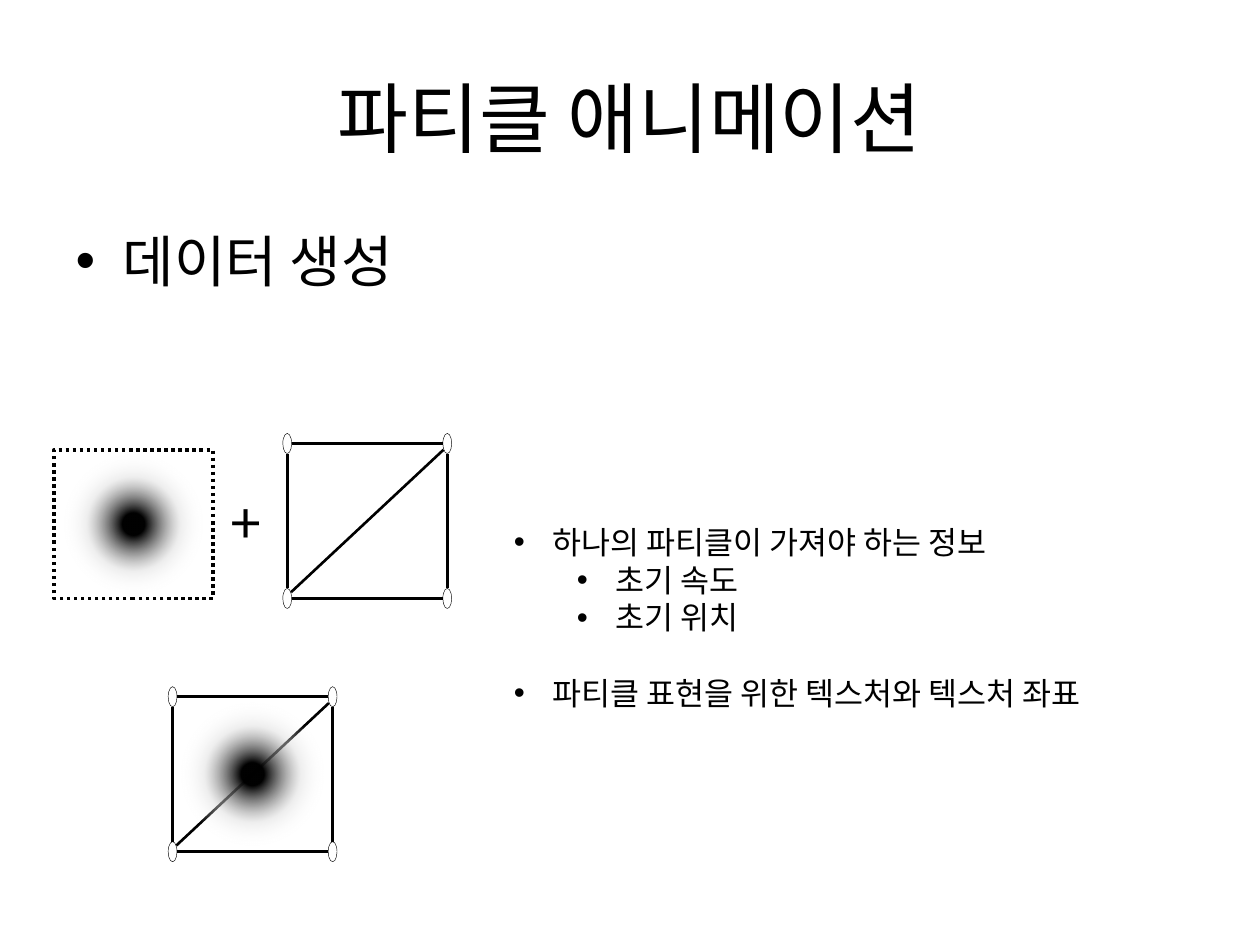
from lxml import etree
from pptx import Presentation
from pptx import util as u
from pptx.dml.color import RGBColor
from pptx.enum import dml, shapes, text
from pptx.oxml import parse_xml
from pptx.oxml.ns import nsdecls, qn

COLORS = {"ink": "000000", "paper": "FFFFFF", "haze": "D9D9D9"}
FONT = "Noto Sans CJK KR"
LINE_PITCH = 1.2  # line height as a share of the text size

prs = Presentation()
prs.slide_width, prs.slide_height = u.Inches(10), u.Inches(7.5)
slide = prs.slides.add_slide(prs.slide_layouts[1])


def write(paragraph, words, size, **formats):
    """Fill a paragraph with one run and set its paragraph formats."""
    run = paragraph.add_run()
    run.text = words
    run.font.size, run.font.name = u.Pt(size), FONT
    run.font.color.rgb = RGBColor.from_string(COLORS["ink"])
    etree.SubElement(run.font._element, qn("a:ea"), typeface=FONT)
    for name, value in formats.items():
        setattr(paragraph, name, value)


def add_particle(parent, left, top, width, height):
    """Add an ellipse that fades from black at its centre to nothing."""
    particle = parent.add_shape(shapes.MSO_SHAPE.OVAL, *map(u.Inches, (left, top, width, height)))
    particle.shadow.inherit = False
    particle.line.fill.background()
    stops = "".join(
        f'<a:gs pos="{share * 1000}"><a:srgbClr val="{COLORS[color]}">'
        f'<a:alpha val="{alpha * 1000}"/></a:srgbClr></a:gs>'
        for share, color, alpha in [(10, "ink", 100), (43, "haze", 44), (64, "paper", 0)])
    gradient = parse_xml(
        f'<a:gradFill {nsdecls("a")} rotWithShape="1"><a:gsLst>{stops}</a:gsLst>'
        '<a:path path="circle"><a:fillToRect l="50000" t="50000" r="50000" b="50000"/>'
        '</a:path></a:gradFill>')
    particle._element.spPr.find(qn("a:prstGeom")).addnext(gradient)


# Title and main point
title, body = slide.placeholders
for holder, top, height in [(title, 0.3, 1.25), (body, 1.75, 4.95)]:
    holder.left, holder.top, holder.width, holder.height = map(u.Inches, (0.5, top, 9, height))
title.text_frame.vertical_anchor = text.MSO_ANCHOR.MIDDLE
write(title.text_frame.paragraphs[0], "파티클 애니메이션", 44, alignment=text.PP_ALIGN.CENTER)
write(body.text_frame.paragraphs[0], "데이터 생성", 32, line_spacing=u.Pt(32 * LINE_PITCH))

# Two-triangle meshes, alone and under a particle
MESH_W, MESH_H = 1.27, 1.23
HANDLE_W, HANDLE_H = 0.07, 0.16
for left, top in [(2.28, 3.52), (1.37, 5.53)]:
    right, bottom = left + MESH_W, top + MESH_H
    dx, dy = HANDLE_W / 2, HANDLE_H / 2
    mesh = slide.shapes.add_group_shape().shapes
    for x in (left, right):
        for y in (top, bottom):
            handle = mesh.add_shape(
                shapes.MSO_SHAPE.OVAL, *map(u.Inches, (x - dx, y - dy, HANDLE_W, HANDLE_H)))
            handle.shadow.inherit = False
            handle.fill.solid()
            handle.fill.fore_color.rgb = RGBColor.from_string(COLORS["paper"])
            handle.line.color.rgb = RGBColor.from_string(COLORS["ink"])
            handle.line.width = u.Pt(0.25)
    edges = [(left + dx, y, right - dx, y) for y in (top, bottom)]
    edges += [(x, top + dy, x, bottom - dy) for x in (left, right)]
    edges.append((right - 0.03, top + 0.05, left + 0.03, bottom - 0.05))
    for ends in edges:
        edge = mesh.add_connector(shapes.MSO_CONNECTOR.STRAIGHT, *map(u.Inches, ends))
        edge.line.color.rgb = RGBColor.from_string(COLORS["ink"])
        edge.line.width = u.Pt(1.5)
        etree.SubElement(edge._element.spPr, qn("a:effectLst"))
add_particle(slide.shapes, left, top, MESH_W, MESH_H)

# Particle texture in its dotted frame
texture_box = (0.43, 3.57, 1.26, 1.18)
texture = slide.shapes.add_group_shape().shapes
add_particle(texture, *texture_box)
frame = texture.add_shape(shapes.MSO_SHAPE.RECTANGLE, *map(u.Inches, texture_box))
frame.shadow.inherit = False
frame.fill.background()
frame.line.color.rgb = RGBColor.from_string(COLORS["ink"])
frame.line.width = u.Pt(2)
frame.line.dash_style = dml.MSO_LINE.ROUND_DOT

plus = slide.shapes.add_textbox(*map(u.Inches, (1.73, 3.83, 0.28, 0.64))).text_frame
plus.word_wrap = False
write(plus.paragraphs[0], "+", 32, line_spacing=u.Pt(32 * LINE_PITCH))

# What each particle needs
needs = slide.shapes.add_textbox(*map(u.Inches, (3.98, 4.1, 5.83, 1.62))).text_frame
needs.word_wrap = True
pitch = u.Pt(18 * LINE_PITCH)
items = [("하나의 파티클이 가져야 하는 정보", 0, 0), ("초기 속도", 1, 0), ("초기 위치", 1, 0),
         ("파티클 표현을 위한 텍스처와 텍스처 좌표", 0, pitch)]
for number, (words, level, gap) in enumerate(items):
    item = needs.add_paragraph() if number else needs.paragraphs[0]
    write(item, words, 18, level=level, space_before=gap, line_spacing=pitch)
    properties = item._p.get_or_add_pPr()
    properties.set("marL", str(u.Inches(0.31 + 0.5 * level)))
    properties.set("indent", str(u.Inches(-0.31)))
    etree.SubElement(properties, qn("a:buFont"), typeface="Arial")
    etree.SubElement(properties, qn("a:buChar"), char="•")

prs.save("out.pptx")
